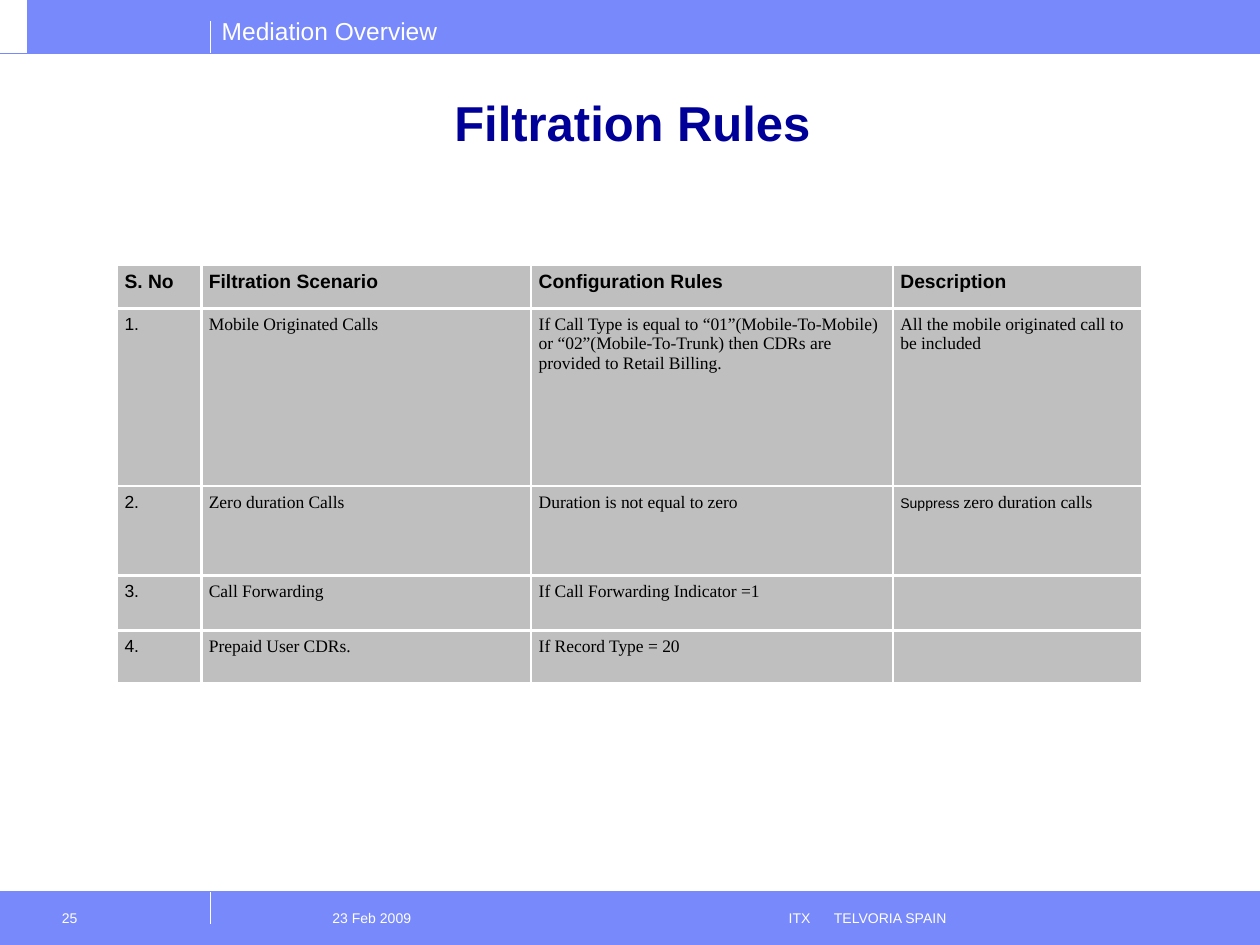
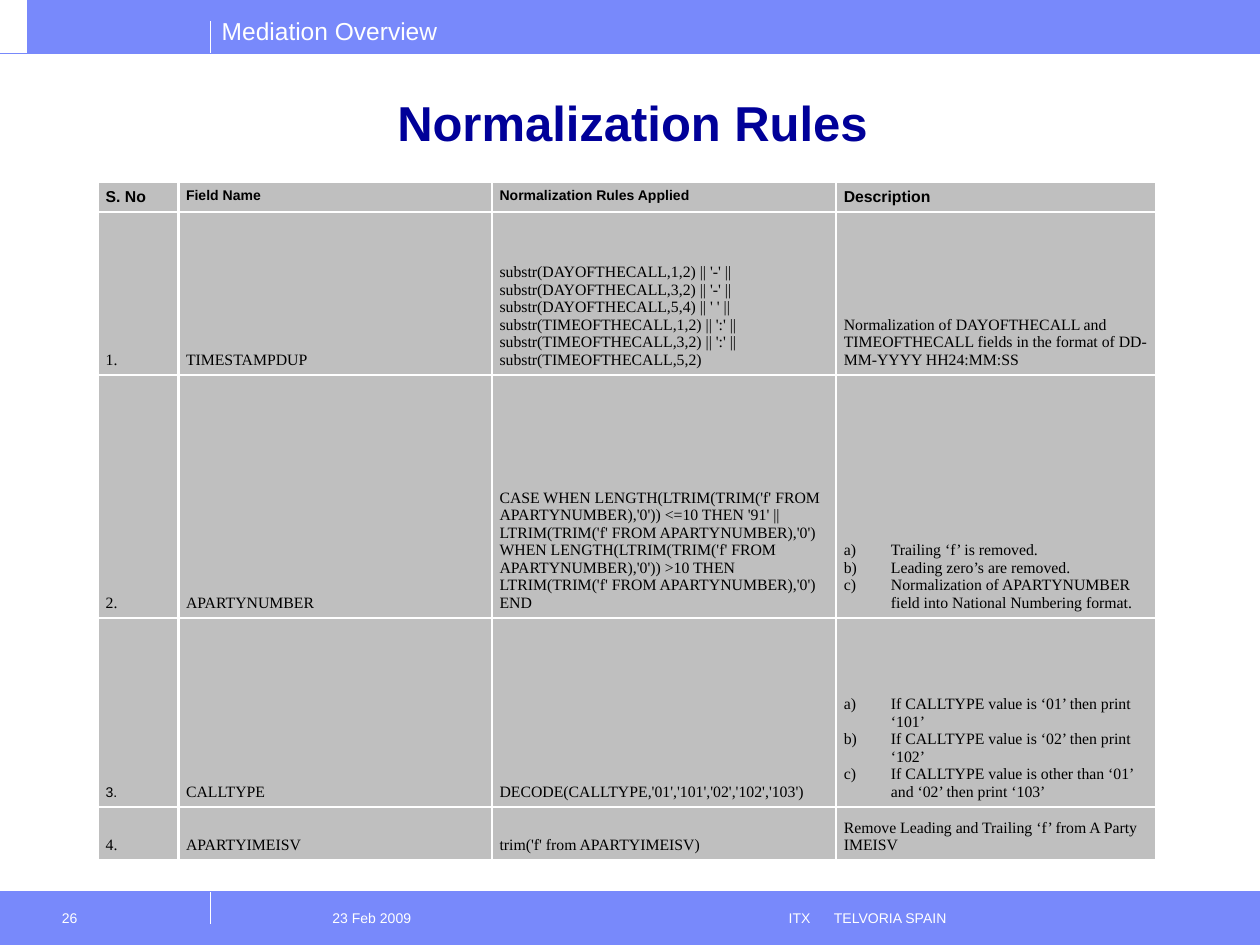
import pptx
import pptx.dml.color
import pptx.enum.shapes
import pptx.enum.text
import pptx.oxml.ns
import pptx.util
from lxml import etree

Cm, Pt = pptx.util.Cm, pptx.util.Pt
PP_ALIGN = pptx.enum.text.PP_ALIGN
ANCHOR = pptx.enum.text.MSO_ANCHOR
qn = pptx.oxml.ns.qn

COLORS = {"band": "7889FB", "title": "000099", "cell": "BFBFBF",
          "text": "000000", "white": "FFFFFF"}

# name: (font, size, bold, colour)
STYLES = {
    "title": ("Arial", 28, True, "title"),
    "section": ("Arial", 14, False, "white"),
    "footer": ("Arial", 8, False, "white"),
    "head11": ("Arial", 11, True, "text"),
    "head9": ("Arial", 9, True, "text"),
    "head8": ("Arial", 8, True, "text"),
    "sans10": ("Arial", 10, False, "text"),
    "sans8": ("Arial", 8, False, "text"),
    "serif10": ("Times New Roman", 10, False, "text"),
    "serif9": ("Times New Roman", 9, False, "text"),
}

SECTION = "Mediation Overview"
FOOTER = "\t23 Feb 2009\tITX\tTELVORIA SPAIN"
FOOTER_TABS = (1.8, 11, 11.91)

# A cell is a string, a list of (text, style) runs or a tuple of lettered steps.
SLIDES = [
    {
        "title": "Filtration Rules", "number": "25",
        "at": (2.36, 5.33),
        "cols": (1.7, 6.65, 7.29, 5.03),
        "rows": (0.89, 3.58, 1.8, 1.11, 1.07),
        "head_styles": ["head11"] * 4,
        "body_styles": ["sans10"] + ["serif10"] * 3,
        "anchor": ANCHOR.TOP,
        "cells": [
            ["S. No", "Filtration Scenario", "Configuration Rules", "Description"],
            ["1.", "Mobile Originated Calls",
             "If Call Type is equal to “01”(Mobile-To-Mobile) or "
             "“02”(Mobile-To-Trunk) then CDRs are provided to Retail Billing.",
             "All the mobile originated call to be included"],
            ["2.", "Zero duration Calls", "Duration is not equal to zero",
             [("Suppress ", "sans8"), ("zero duration calls", "serif10")]],
            ["3.", "Call Forwarding", "If Call Forwarding Indicator =1", ""],
            ["4.", "Prepaid User CDRs.", "If Record Type = 20", ""],
        ],
    },
    {
        "title": "Normalization Rules", "number": "26",
        "at": (1.98, 3.66),
        "cols": (1.62, 6.32, 6.94, 6.45),
        "rows": (0.6, 3.28, 4.9, 3.81, 1.08),
        "head_styles": ["head9", "head8", "head8", "head9"],
        "body_styles": ["serif9"] * 4,
        "anchor": ANCHOR.BOTTOM,
        "cells": [
            ["S. No", "Field Name", "Normalization Rules Applied", "Description"],
            ["1.", "TIMESTAMPDUP",
             "substr(DAYOFTHECALL,1,2) || '-' || substr(DAYOFTHECALL,3,2) || '-' || "
             "substr(DAYOFTHECALL,5,4) || ' ' || substr(TIMEOFTHECALL,1,2) || ':' || "
             "substr(TIMEOFTHECALL,3,2) || ':' || substr(TIMEOFTHECALL,5,2)",
             "Normalization of DAYOFTHECALL and TIMEOFTHECALL fields in the "
             "format of DD-MM-YYYY HH24:MM:SS"],
            ["2.", "APARTYNUMBER",
             "CASE WHEN LENGTH(LTRIM(TRIM('f' FROM APARTYNUMBER),'0')) <=10 THEN "
             "'91' || LTRIM(TRIM('f' FROM APARTYNUMBER),'0') WHEN "
             "LENGTH(LTRIM(TRIM('f' FROM APARTYNUMBER),'0')) >10 THEN "
             "LTRIM(TRIM('f' FROM APARTYNUMBER),'0') END",
             ("Trailing ‘f’ is removed.",
              "Leading zero’s are removed.",
              "Normalization of APARTYNUMBER field into National Numbering format.")],
            [[("3.", "sans8")], "CALLTYPE",
             "DECODE(CALLTYPE,'01','101','02','102','103')",
             ("If CALLTYPE value is ‘01’ then print ‘101’",
              "If CALLTYPE value is ‘02’ then print ‘102’",
              "If CALLTYPE value is other than ‘01’ and ‘02’ then print ‘103’")],
            ["4.", "APARTYIMEISV", "trim('f' from APARTYIMEISV)",
             "Remove Leading and Trailing ‘f’ from A Party IMEISV"],
        ],
    },
]


def rgb(name):
    return pptx.dml.color.RGBColor.from_string(COLORS[name])


def add_run(p, text, style):
    font, size, bold, color = STYLES[style]
    r = p.add_run()
    r.text = text
    r.font.name, r.font.size, r.font.bold = font, Pt(size), bold
    r.font.color.rgb = rgb(color)


def add_band(slide, x, y, w, h):
    sp = slide.shapes.add_shape(pptx.enum.shapes.MSO_SHAPE.RECTANGLE,
                                Cm(x), Cm(y), Cm(w), Cm(h))
    sp.shadow.inherit = False
    sp.fill.solid()
    sp.fill.fore_color.rgb = rgb("band")
    sp.line.color.rgb = rgb("band")
    sp.line.width = Pt(0.75)


def add_line(slide, x1, y1, x2, y2, color, width):
    line = slide.shapes.add_connector(pptx.enum.shapes.MSO_CONNECTOR.STRAIGHT,
                                      Cm(x1), Cm(y1), Cm(x2), Cm(y2))
    line.line.color.rgb = rgb(color)
    line.line.width = Pt(width)
    etree.SubElement(line._element.spPr, qn("a:effectLst"))


def add_label(slide, x, y, w, h, text, style, left=0.25, top=0.18, tabs=()):
    tf = slide.shapes.add_textbox(Cm(x), Cm(y), Cm(w), Cm(h)).text_frame
    tf.word_wrap = True
    tf.margin_left, tf.margin_top = Cm(left), Cm(top)
    p = tf.paragraphs[0]
    if tabs:
        stops = etree.SubElement(p._p.get_or_add_pPr(), qn("a:tabLst"))
        for pos in tabs:
            etree.SubElement(stops, qn("a:tab"), pos=str(Cm(pos)), algn="l")
    add_run(p, text, style)


def add_frame(slide, number):
    """Draw the bands, rules, section name and footer shared by all slides."""
    add_band(slide, 0, 17.98, 25.4, 1.07)
    add_band(slide, 0.56, 0, 24.84, 1.07)
    add_label(slide, 4.22, 0.2, 4.85, 0.86, SECTION, "section", top=0.13)
    for top, bottom in ((0.43, 1.07), (17.98, 18.62)):
        add_line(slide, 4.24, bottom, 4.24, top, "white", 0.75)
    for y in (1.07, 17.98):
        add_line(slide, 0, y, 25.4, y, "band", 0.5)
    add_label(slide, 4.65, 18.16, 15.24, 0.89, FOOTER, "footer", tabs=FOOTER_TABS)
    add_label(slide, 0.84, 18.16, 3.38, 0.89, number, "footer", left=0.41)


def set_title(slide, text):
    title = slide.shapes.title
    title.left, title.top, title.width, title.height = Cm(1.93), 0, Cm(21.64), Cm(3.18)
    tf = title.text_frame
    tf.auto_size = pptx.enum.text.MSO_AUTO_SIZE.NONE
    tf.vertical_anchor = ANCHOR.BOTTOM
    p = tf.paragraphs[0]
    p.alignment = PP_ALIGN.CENTER
    add_run(p, text, "title")
    slide.shapes._spTree.append(title._element)


def add_letter(p):
    """Number the paragraph a), b), c) with a hanging indent."""
    pPr = p._p.get_or_add_pPr()
    pPr.set("marL", str(Cm(0.95)))
    pPr.set("indent", str(-Cm(0.95)))
    clr = etree.SubElement(pPr, qn("a:buClr"))
    etree.SubElement(clr, qn("a:srgbClr"), val=COLORS["text"])
    etree.SubElement(pPr, qn("a:buAutoNum"), type="alphaLcParenR")


def format_cell(cell):
    cell.margin_left = cell.margin_right = Cm(0.15)
    cell.margin_top = cell.margin_bottom = Cm(0.13)
    tcPr = cell._tc.get_or_add_tcPr()
    for side in ("lnL", "lnR", "lnT", "lnB"):
        ln = etree.SubElement(tcPr, qn("a:" + side), w=str(Pt(1.47)))
        fill = etree.SubElement(ln, qn("a:solidFill"))
        etree.SubElement(fill, qn("a:srgbClr"), val=COLORS["white"])
    cell.fill.solid()
    cell.fill.fore_color.rgb = rgb("cell")


def fill_cell(cell, content, style):
    tf = cell.text_frame
    if isinstance(content, tuple):
        for i, step in enumerate(content):
            p = tf.add_paragraph() if i else tf.paragraphs[0]
            add_letter(p)
            add_run(p, step, style)
    elif content:
        runs = content if isinstance(content, list) else [(content, style)]
        for text, run_style in runs:
            add_run(tf.paragraphs[0], text, run_style)


def add_rules_table(slide, data):
    x, y = data["at"]
    cols, rows = data["cols"], data["rows"]
    table = slide.shapes.add_table(len(rows), len(cols), Cm(x), Cm(y),
                                   Cm(sum(cols)), Cm(sum(rows))).table
    table.first_row = table.horz_banding = False
    for column, width in zip(table.columns, cols):
        column.width = Cm(width)
    for i, (row, height) in enumerate(zip(table.rows, rows)):
        row.height = Cm(height)
        styles = data["body_styles"] if i else data["head_styles"]
        for cell, content, style in zip(row.cells, data["cells"][i], styles):
            format_cell(cell)
            cell.vertical_anchor = data["anchor"] if i else ANCHOR.TOP
            fill_cell(cell, content, style)


def main():
    prs = pptx.Presentation()
    prs.slide_width, prs.slide_height = Cm(25.4), Cm(19.05)
    for data in SLIDES:
        slide = prs.slides.add_slide(prs.slide_layouts[5])
        add_frame(slide, data["number"])
        set_title(slide, data["title"])
        add_rules_table(slide, data)
    prs.save("out.pptx")


if __name__ == "__main__":
    main()
